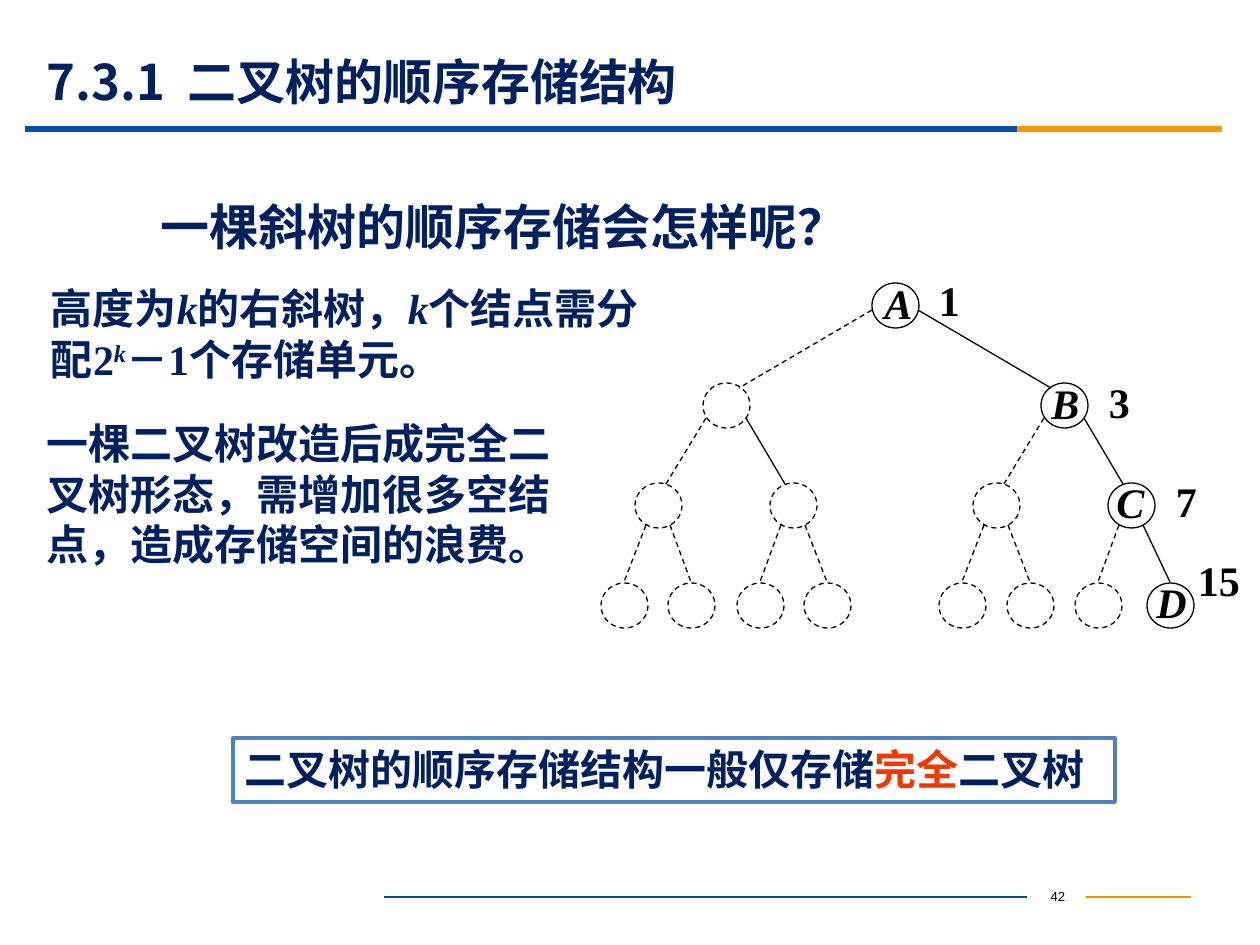
from lxml.etree import SubElement
from pptx import Presentation
from pptx.dml.color import RGBColor
from pptx.enum.dml import MSO_LINE
from pptx.enum.shapes import MSO_CONNECTOR, MSO_SHAPE
from pptx.enum.text import MSO_ANCHOR, PP_ALIGN
from pptx.oxml.ns import qn
from pptx.util import Emu, Pt

SCALE = 914400 / 126
NAVY = RGBColor(0x00, 0x20, 0x60)
BLUE = RGBColor(0x06, 0x4B, 0xB2)
GOLD = RGBColor(0xFB, 0x97, 0x08)
AMBER = RGBColor(0xF1, 0x95, 0x00)
STEEL = RGBColor(0x4F, 0x81, 0xBD)
RED = RGBColor(0xEE, 0x39, 0x00)
BLACK = RGBColor(0x00, 0x00, 0x00)
CJK = "Noto Sans CJK SC"
TIMES = "Times New Roman"


def px(*nums):
    return [Emu(round(n * SCALE)) for n in nums]


def put_text(slide, box, parts, size=24, font=TIMES, color=NAVY, bold=True,
             align=PP_ALIGN.LEFT, anchor=MSO_ANCHOR.TOP, inset=(12, 6, 12, 6)):
    frame = slide.shapes.add_textbox(*px(*box)).text_frame
    frame.word_wrap = True
    frame.vertical_anchor = anchor
    (frame.margin_left, frame.margin_top,
     frame.margin_right, frame.margin_bottom) = px(*inset)
    para = frame.paragraphs[0]
    para.alignment = align
    for part in [(parts, {})] if isinstance(parts, str) else parts:
        words, style = part
        run = para.add_run()
        run.text = words
        run.font.size = Pt(size)
        run.font.name = font
        run.font.bold = bold
        run.font.italic = style.get("italic", False)
        run.font.color.rgb = style.get("color", color)
        props = run.font._element
        SubElement(props, qn("a:ea")).set("typeface", CJK)
        if "base" in style:
            props.set("baseline", str(style["base"]))


def put_line(slide, start, end, color=BLACK, dash=False):
    line = slide.shapes.add_connector(MSO_CONNECTOR.STRAIGHT, *px(*start, *end))
    line.line.color.rgb = color
    line.line.width = Pt(0.75)
    if dash:
        line.line.dash_style = MSO_LINE.DASH
    SubElement(line._element.spPr, qn("a:effectLst"))


def put_shape(slide, kind, box, fill=None, color=None, width=0.75, dash=False):
    shape = slide.shapes.add_shape(kind, *px(*box))
    shape.shadow.inherit = False
    if fill:
        shape.fill.solid()
        shape.fill.fore_color.rgb = fill
    else:
        shape.fill.background()
    if color:
        shape.line.color.rgb = color
        shape.line.width = Pt(width)
        if dash:
            shape.line.dash_style = MSO_LINE.DASH
    else:
        shape.line.fill.background()


def draw_head(slide, left, top, width):
    put_text(slide, (left + 10, top, 1134, 54), "7.3.1  二叉树的顺序存储结构",
             size=28, font=CJK, anchor=MSO_ANCHOR.MIDDLE)
    split = 992
    put_shape(slide, MSO_SHAPE.RECTANGLE, (left, top + 72, split, 6), fill=BLUE)
    put_shape(slide, MSO_SHAPE.RECTANGLE,
              (left + split, top + 72, width - split, 6), fill=GOLD)


def draw_notes(slide, left, top):
    slant = {"italic": True}
    put_text(slide, (left + 114, top, 1061, 72), "一棵斜树的顺序存储会怎样呢？", size=28)
    put_text(slide, (left + 4, top + 86, 622, 115), [
        ("高度为", {}), ("k", slant), ("的右斜树，", {}), ("k", slant),
        ("个结点需分配2", {}), ("k", {"italic": True, "base": 30000}),
        ("－1个存储单元。", {})])
    put_text(slide, (left, top + 221, 529, 165),
             "一棵二叉树改造后成完全二叉树形态，需增加很多空结点，造成存储空间的浪费。")


def draw_tree(slide, left, top):
    cols = (295, 126, 464, 58, 193, 396, 531,
            24, 91, 160, 227, 362, 430, 498, 570)
    spots = {n: (left + x, top + 32 + 100 * (n.bit_length() - 1))
             for n, x in enumerate(cols, 1)}
    real = {1: ("A", -16, 44, -32), 3: ("B", -18, 45, -30),
            7: ("C", -20, 45, -31), 15: ("D", -18, 28, -52)}
    solid = {3, 5, 7, 15}
    gaps = {2: (23, 5, 13, -17), 3: (20, 13, 8, -21), 4: (12, 20, 0, -23)}
    for n, (x, y) in spots.items():
        if n > 1:
            side = 1 if n % 2 else -1
            from_x, from_y, to_x, to_y = gaps[n.bit_length()]
            up_x, up_y = spots[n // 2]
            put_line(slide, (up_x + side * from_x, up_y + from_y),
                     (x - side * to_x, y + to_y), dash=n not in solid)
        if n in real:
            name, shift, tag_x, tag_y = real[n]
            put_text(slide, (x + shift, y - 30, 39, 54),
                     [(name, {"italic": True})], color=BLACK,
                     align=PP_ALIGN.CENTER, inset=(0, 2, 0, 0))
            put_text(slide, (x + tag_x, y + tag_y, 48, 50), str(n),
                     color=BLACK, inset=(0, 2, 0, 0))
        put_shape(slide, MSO_SHAPE.OVAL, (x - 23, y - 22, 47, 45),
                  color=BLACK, dash=n not in real)


def draw_box(slide, *box):
    put_shape(slide, MSO_SHAPE.RECTANGLE, box, color=STEEL, width=2.25)
    put_text(slide, box, [("二叉树的顺序存储结构一般仅存储", {}),
                          ("完全", {"color": RED}), ("二叉树", {})])


def draw_foot(slide, left, top):
    mid = top + 16
    put_line(slide, (left, mid), (left + 643, mid), BLUE)
    put_line(slide, (left + 702, mid), (left + 807, mid), AMBER)
    put_text(slide, (left + 643, top, 62, 31), "42", size=7.5, font="Arial",
             color=BLACK, bold=False, align=PP_ALIGN.CENTER,
             anchor=MSO_ANCHOR.MIDDLE)


def main():
    deck = Presentation()
    deck.slide_width, deck.slide_height = px(1260, 945)
    slide = deck.slides.add_slide(deck.slide_layouts[6])
    draw_head(slide, 25, 54, 1197)
    draw_notes(slide, 35, 191)
    draw_tree(slide, 600, 273)
    draw_box(slide, 233, 738, 882, 64)
    draw_foot(slide, 384, 881)
    deck.save("out.pptx")


if __name__ == "__main__":
    main()
